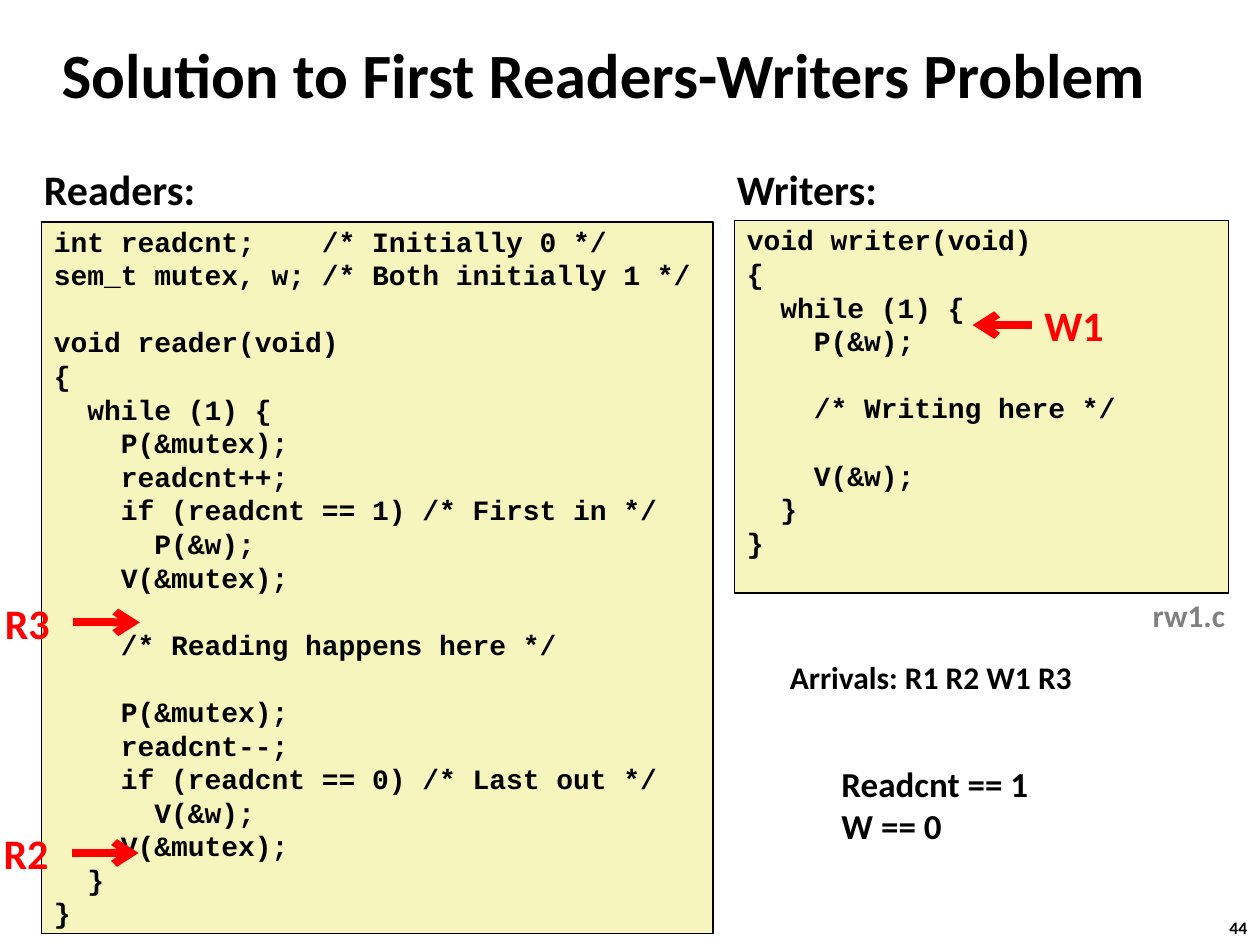
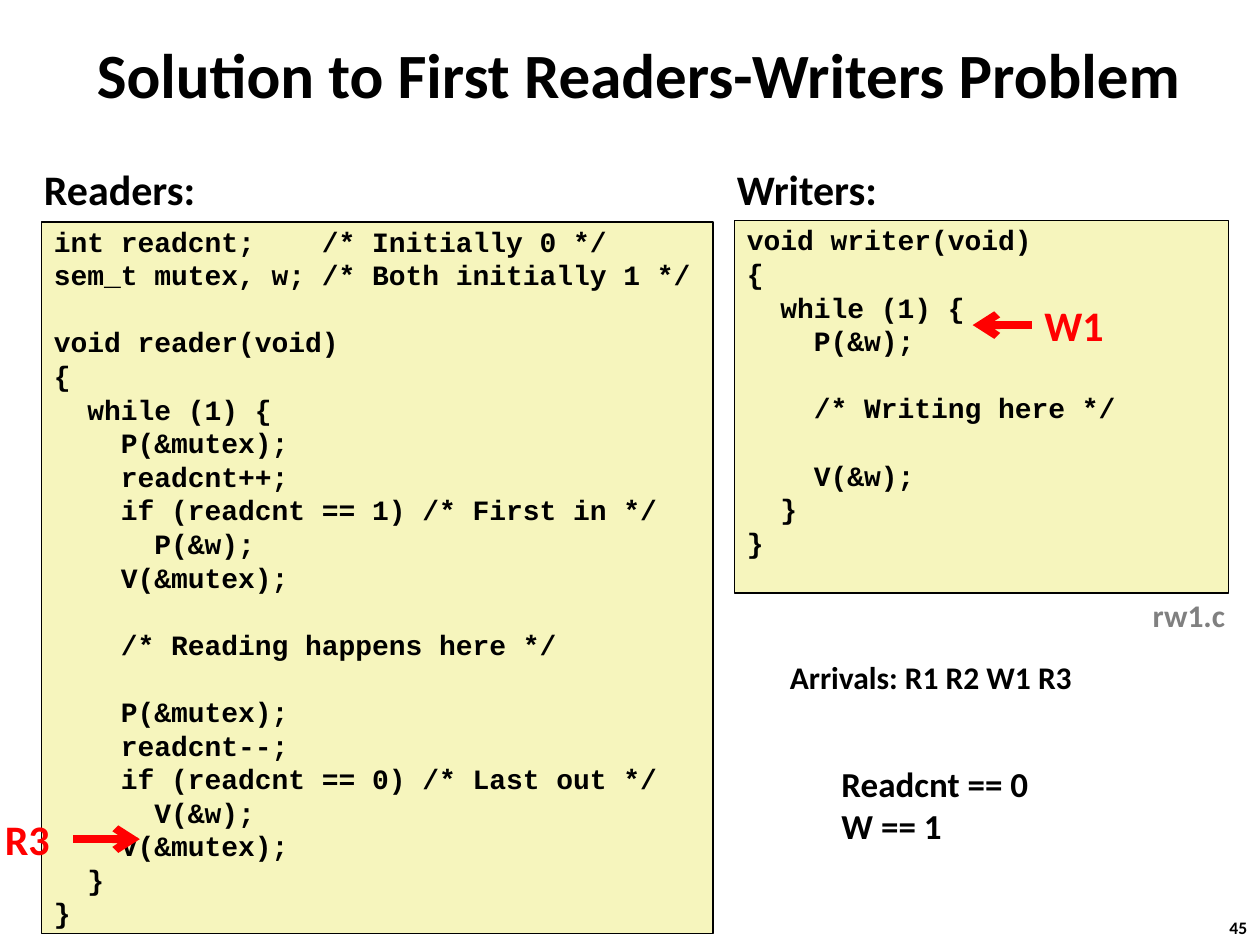
"""Build two slides that trace arrivals through the first readers-writers solution."""
from lxml import etree
from pptx import Presentation
from pptx import util as u
from pptx.dml.color import RGBColor
from pptx.enum import shapes, text
from pptx.oxml.ns import qn

BLACK = RGBColor(0x00, 0x00, 0x00)
RED = RGBColor(0xFF, 0x00, 0x00)
GREY = RGBColor(0x80, 0x80, 0x80)
CREAM = RGBColor(0xF6, 0xF5, 0xBD)
SANS, MONO = "Calibri", "Courier New"

TITLE = "Solution to First Readers-Writers Problem"
READER_CODE = """int readcnt;    /* Initially 0 */
sem_t mutex, w; /* Both initially 1 */

void reader(void)
{
  while (1) {
    P(&mutex);
    readcnt++;
    if (readcnt == 1) /* First in */
      P(&w);
    V(&mutex);

    /* Reading happens here */

    P(&mutex);
    readcnt--;
    if (readcnt == 0) /* Last out */
      V(&w);
    V(&mutex);
  }
}"""
WRITER_CODE = """void writer(void)
{
  while (1) {
    P(&w);

    /* Writing here */

    V(&w);
  }
}"""
CODE_BOXES = [
    (READER_CODE, (0.33, 1.76, 5.33, 5.65)),
    (WRITER_CODE, (5.83, 1.75, 3.92, 2.96)),
]
SHARED_LABELS = [
    ("Readers:", (0.25, 1.25, 1.41, 0.5), 24, BLACK),
    ("Writers:", (5.75, 1.25, 1.32, 0.5), 24, BLACK),
    ("rw1.c", (9.05, 4.68, 0.78, 0.4), 18, GREY),
    ("Arrivals: R1 R2 W1 R3", (6.17, 5.17, 2.46, 0.4), 18, BLACK),
]
STATE_BOX = (6.58, 6, 1.7, 0.77)
NUMBER_BOX = (9.66, 7.23, 0.37, 0.27)
TITLE_BOX = (0.39, 0.17, 9.36, 0.83)
MARKER_HEIGHT = 0.5
WRITER_MARKER = ("W1", 8.19, 2.33, 0.75, 8.19, 7.72)
READER_MARKER = {"width": 0.64, "arrow": 0.53}

SLIDES = [
    {"number": "44", "state": "Readcnt == 1\nW == 0", "align": text.PP_ALIGN.LEFT,
     "readers": [("R2", -0.07, 6.52), ("R3", -0.06, 4.69)]},
    {"number": "45", "state": "Readcnt == 0\nW == 1", "align": text.PP_ALIGN.CENTER,
     "readers": [("R3", -0.06, 6.41)]},
]


def inches(lengths):
    return [u.Inches(length) for length in lengths]


def set_attributes(target, values):
    for name, value in values.items():
        setattr(target, name, value)


def write_lines(shape, content, size, color=BLACK, font=SANS, align=text.PP_ALIGN.LEFT):
    frame = shape.text_frame
    for index, line in enumerate(content.split("\n")):
        paragraph = frame.add_paragraph() if index else frame.paragraphs[0]
        paragraph.alignment = align
        if line:
            run = paragraph.add_run()
            run.text = line
            set_attributes(run.font, {"name": font, "size": u.Pt(size), "bold": True})
            run.font.color.rgb = color
        else:
            end = etree.SubElement(paragraph._p, qn("a:endParaRPr"), sz=str(size * 100), b="1")
            etree.SubElement(end, qn("a:latin"), typeface=font)


def add_label(slide, content, box, size, color=BLACK):
    shape = slide.shapes.add_textbox(*inches(box))
    shape.text_frame.word_wrap = False
    write_lines(shape, content, size, color)


def add_title(slide, align):
    shape = slide.shapes.add_textbox(*inches(TITLE_BOX))
    set_attributes(shape.text_frame,
                   {"word_wrap": True, "vertical_anchor": text.MSO_ANCHOR.MIDDLE})
    write_lines(shape, TITLE, 36, align=align)


def add_code(slide, code, box):
    shape = slide.shapes.add_shape(shapes.MSO_SHAPE.RECTANGLE, *inches(box))
    shape.shadow.inherit = False
    shape.fill.solid()
    shape.fill.fore_color.rgb = CREAM
    shape.line.color.rgb = BLACK
    shape.line.width = u.Pt(1)
    set_attributes(shape.text_frame, {
        "word_wrap": True, "vertical_anchor": text.MSO_ANCHOR.TOP,
        "margin_top": u.Inches(0.02), "margin_bottom": 0})
    write_lines(shape, code, 16, font=MONO)


def add_marker(slide, name, left, top, width, start, end):
    add_label(slide, name, (left, top, width, MARKER_HEIGHT), 24, RED)
    middle = top + MARKER_HEIGHT / 2
    arrow = slide.shapes.add_connector(
        shapes.MSO_CONNECTOR.STRAIGHT, *inches((start, middle, end, middle)))
    arrow.line.color.rgb = RED
    arrow.line.width = u.Pt(4.5)
    etree.SubElement(arrow.line._get_or_add_ln(), qn("a:tailEnd"), type="arrow")
    etree.SubElement(arrow._element.spPr, qn("a:effectLst"))


def add_solution_slide(presentation, details):
    slide = presentation.slides.add_slide(presentation.slide_layouts[6])
    add_label(slide, details["number"], NUMBER_BOX, 10)
    add_title(slide, details["align"])
    for code, box in CODE_BOXES:
        add_code(slide, code, box)
    for label in SHARED_LABELS:
        add_label(slide, *label)
    add_label(slide, details["state"], STATE_BOX, 20)
    add_marker(slide, *WRITER_MARKER)
    for name, left, top in details["readers"]:
        start = left + READER_MARKER["width"]
        add_marker(slide, name, left, top, READER_MARKER["width"],
                   start, start + READER_MARKER["arrow"])


def main():
    presentation = Presentation()
    set_attributes(presentation, {"slide_width": u.Inches(10), "slide_height": u.Inches(7.5)})
    for details in SLIDES:
        add_solution_slide(presentation, details)
    presentation.save("out.pptx")


if __name__ == "__main__":
    main()
